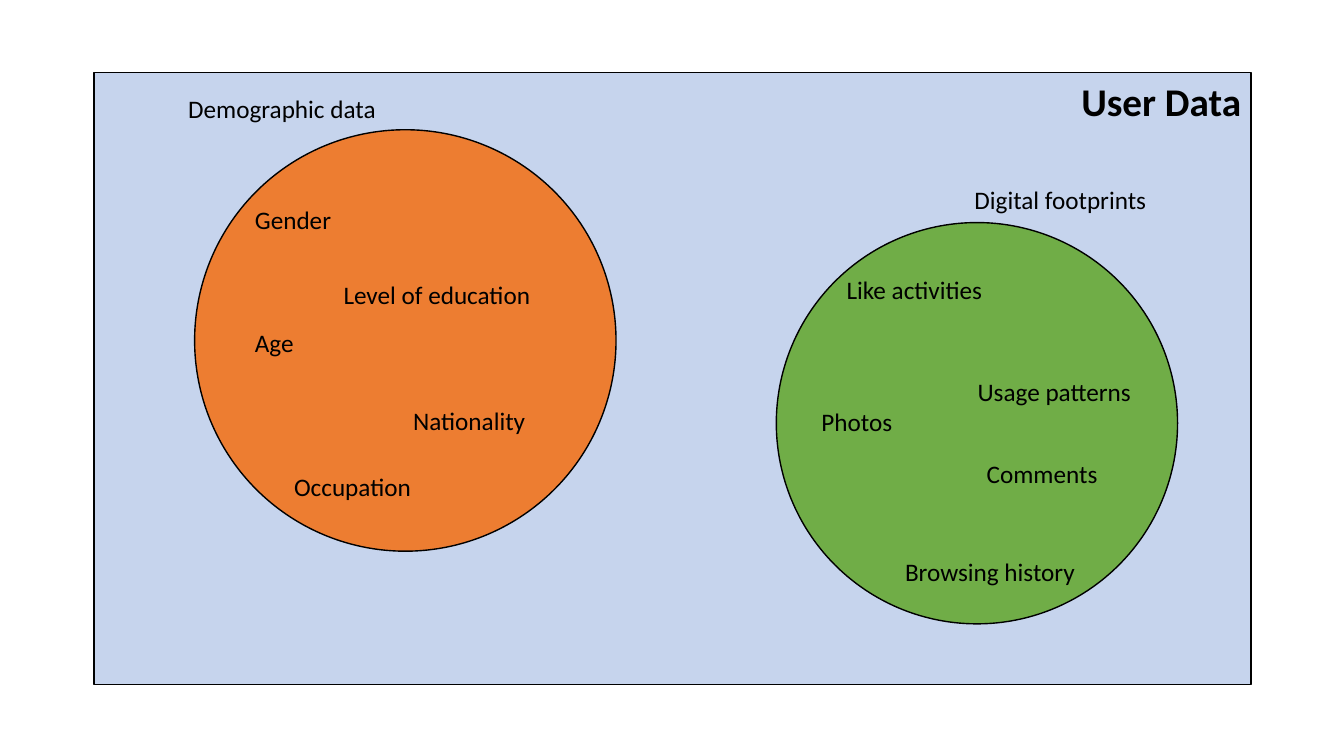
from lxml.etree import SubElement
from pptx import Presentation
from pptx.dml.color import RGBColor
from pptx.enum.shapes import MSO_SHAPE
from pptx.enum.text import MSO_AUTO_SIZE, PP_ALIGN
from pptx.oxml.ns import qn
from pptx.util import Pt

COLORS = {"ink": "000000", "user": "4472C4", "demographic": "ED7D31", "digital": "70AD47"}


class Diagram:
    font = "Calibri"

    def __init__(self, slide):
        self.slide = slide

    def color(self, name):
        return RGBColor.from_string(COLORS[name])

    def shape(self, kind, x, y, w, h, fill, alpha=None):
        s = self.slide.shapes.add_shape(kind, Pt(x), Pt(y), Pt(w), Pt(h))
        s.shadow.inherit = False
        s.fill.solid()
        s.fill.fore_color.rgb = self.color(fill)
        s.line.color.rgb = self.color("ink")
        s.line.width = Pt(1)
        if alpha is not None:
            rgb = s.fill._xPr.find(qn("a:solidFill")).find(qn("a:srgbClr"))
            SubElement(rgb, qn("a:alpha"), val=str(alpha * 1000))

    def circle(self, x, y, size, fill):
        self.shape(MSO_SHAPE.OVAL, x, y, size, size, fill)

    def text(self, x, y, words, w=152, h=29, size=18, bold=False, align=PP_ALIGN.LEFT):
        s = self.slide.shapes.add_textbox(Pt(x), Pt(y), Pt(w), Pt(h))
        tf = s.text_frame
        tf.word_wrap = True
        tf.auto_size = MSO_AUTO_SIZE.SHAPE_TO_FIT_TEXT
        p = tf.paragraphs[0]
        p.alignment = align
        r = p.add_run()
        r.text = words
        r.font.name = self.font
        r.font.size = Pt(size)
        r.font.bold = bold
        r.font.color.rgb = self.color("ink")


prs = Presentation()
prs.slide_width, prs.slide_height = Pt(960), Pt(540)
diagram = Diagram(prs.slides.add_slide(prs.slide_layouts[6]))

# User data frame and its two sets
diagram.shape(MSO_SHAPE.RECTANGLE, 67, 51.8, 826.6, 437, "user", alpha=30)
diagram.circle(139, 92.7, 301, "demographic")
diagram.circle(554.5, 159, 286.6, "digital")

# Frame title
diagram.text(597.6, 51.8, "User Data", w=296, h=41, size=28, bold=True, align=PP_ALIGN.RIGHT)

# Set names and their members
LABELS = [
    (127.4, 63.4, "Demographic data"),
    (689, 128.2, "Digital footprints"),
    (175, 142.6, "Gender"),
    (175, 230.4, "Age"),
    (238.3, 195.8, "Level of education"),
    (288, 285.8, "Nationality"),
    (203, 333.4, "Occupation"),
    (639.4, 393.8, "Browsing history"),
    (597.6, 192.2, "Like activities"),
    (691.2, 265, "Usage patterns"),
    (579.6, 286.6, "Photos"),
    (697.7, 324, "Comments"),
]
for x, y, words in LABELS:
    diagram.text(x, y, words)

prs.save("out.pptx")
